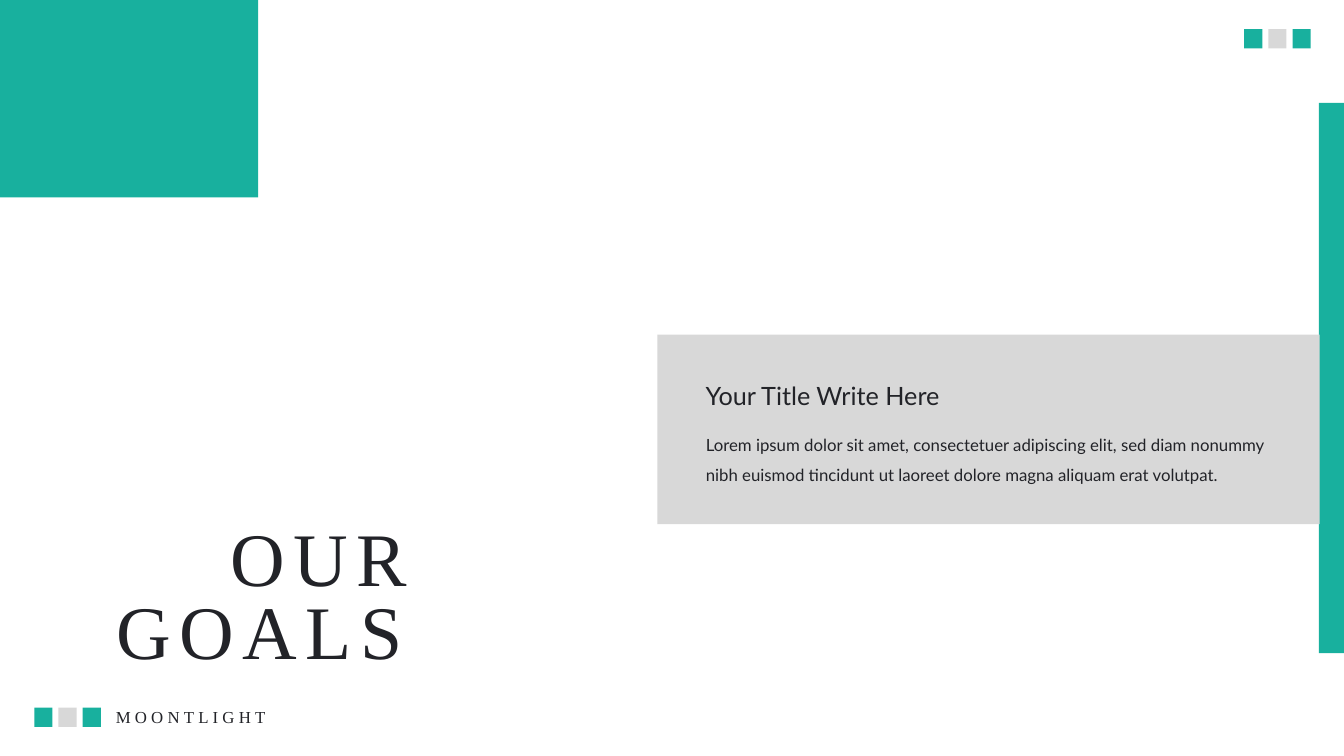
from lxml import etree
from pptx import Presentation
from pptx import util as u
from pptx.dml import color
from pptx.enum import shapes, text
from pptx.oxml import ns

COLORS = {"teal": "18B09E", "gray": "D8D8D8", "ink": "222328"}
SERIF, SANS = "Times New Roman", "Lato"


def place(shape, box):
    shape.left, shape.top, shape.width, shape.height = map(u.Inches, box)


def add_block(slide, box, shade):
    block = slide.shapes.add_shape(shapes.MSO_SHAPE.RECTANGLE, *map(u.Inches, box))
    block.shadow.inherit = False
    block.fill.solid()
    block.fill.fore_color.rgb = color.RGBColor.from_string(COLORS[shade])
    block.line.fill.background()


def write(shape, box, words, size, face, spacing=0, wrap=True,
          align=text.PP_ALIGN.LEFT, leading=1.0):
    """Fill a text box or placeholder with one unbulleted paragraph."""
    place(shape, box)
    frame = shape.text_frame
    frame.word_wrap = wrap
    frame.auto_size = text.MSO_AUTO_SIZE.NONE
    frame.vertical_anchor = text.MSO_ANCHOR.TOP
    frame.text = words
    line = frame.paragraphs[0]
    line.alignment, line.line_spacing = align, leading
    line.space_before = u.Pt(0)
    props = line._p.get_or_add_pPr()
    props.set("marL", "0")
    props.set("indent", "0")
    etree.SubElement(props, ns.qn("a:buNone"))
    line.font.size, line.font.name = u.Pt(size), face
    line.font.color.rgb = color.RGBColor.from_string(COLORS["ink"])
    if spacing:  # letter spacing in points
        line.runs[0]._r.get_or_add_rPr().set("spc", str(spacing * 100))


def add_text(slide, box, *args, **options):
    write(slide.shapes.add_textbox(*map(u.Inches, box)), box, *args, **options)


def add_squares(slide, left, top):
    for i, shade in enumerate(("teal", "gray", "teal")):
        add_block(slide, (left + i * 0.24, top, 0.18, 0.19), shade)


def add_brand(slide, left, top):
    add_squares(slide, left, top + 0.06)
    add_text(slide, (left + 0.71, top, 1.78, 0.3), "MOONTLIGHT", 12, SERIF,
             spacing=3, wrap=False)


def add_heading(slide, left, top):
    write(slide.shapes.title, (left, top, 3.22, 1.01), "OUR", 54, SERIF,
          spacing=6, align=text.PP_ALIGN.RIGHT)
    add_text(slide, (left + 0.14, top + 0.72, 3.07, 1.01), "GOALS", 54, SERIF,
             spacing=6, wrap=False)


def add_goal_panel(slide, left, top, width, height):
    add_block(slide, (left, top, width, height), "gray")
    # Bring the body text in front of the panel
    body = slide.placeholders[1]
    slide.shapes._spTree.append(body._element)
    write(body, (left + 0.38, top + 0.84, width - 0.6, 0.67),
          "Lorem ipsum dolor sit amet, consectetuer adipiscing elit, sed diam "
          "nonummy nibh euismod tincidunt ut laoreet dolore magna aliquam erat "
          "volutpat.", 12, SANS, leading=1.5)
    add_text(slide, (left + 0.38, top + 0.4, 2.77, 0.4),
             "Your Title Write Here", 18, SANS)


def main():
    deck = Presentation()
    deck.slide_width, deck.slide_height = u.Inches(13.33), u.Inches(7.5)
    slide = deck.slides.add_slide(deck.slide_layouts[1])

    # Brand marks
    add_brand(slide, 0.34, 6.96)
    add_squares(slide, 12.34, 0.29)

    # Corner block and heading
    add_block(slide, (0, 0, 2.56, 1.96), "teal")
    add_heading(slide, 0.92, 5.02)

    # Side bar and goal
    add_block(slide, (13.08, 1.02, 0.25, 5.46), "teal")
    add_goal_panel(slide, 6.52, 3.32, 6.57, 1.88)

    deck.save("out.pptx")


if __name__ == "__main__":
    main()
